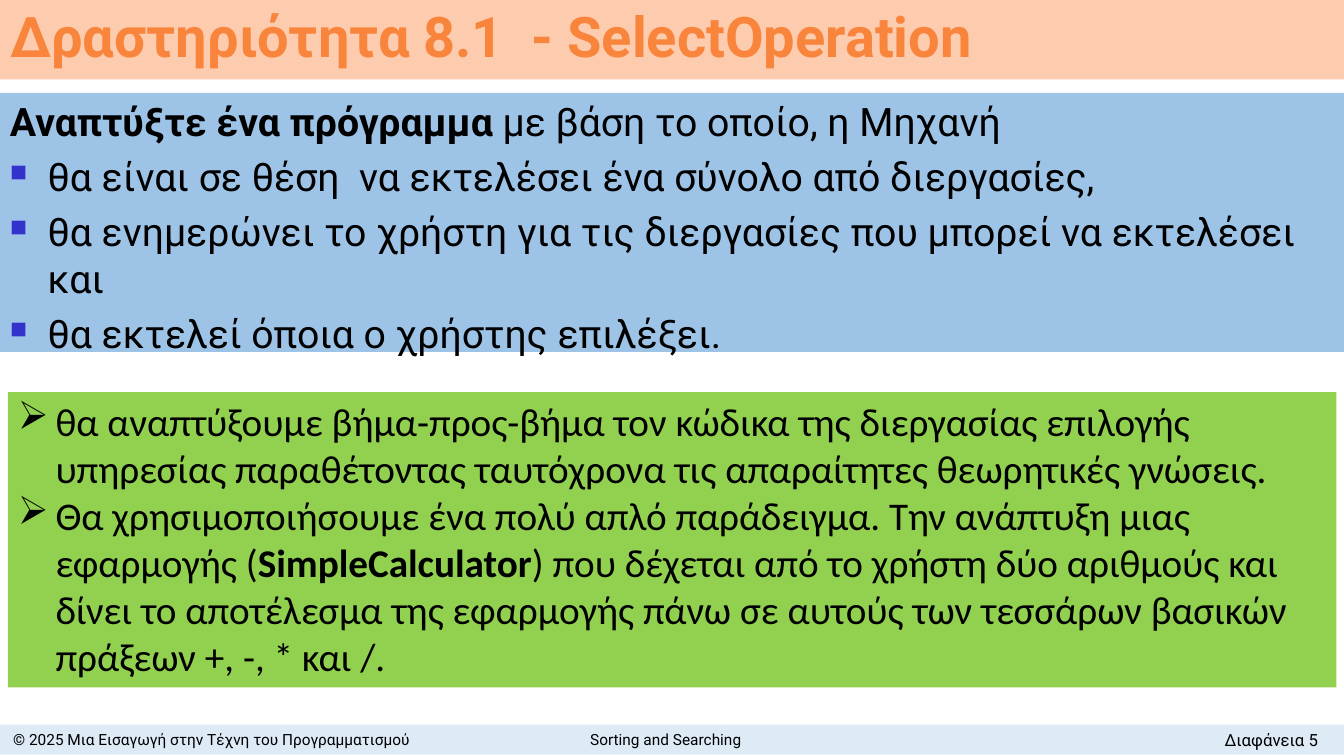
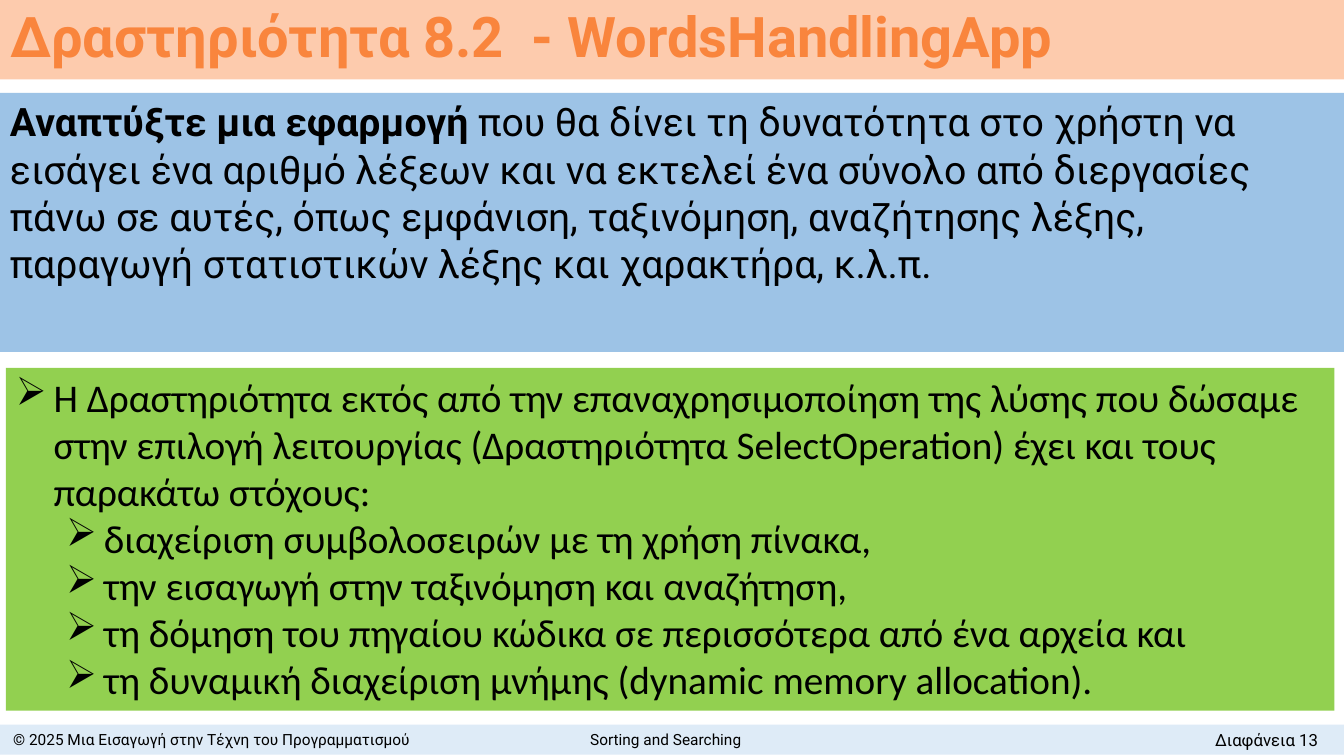
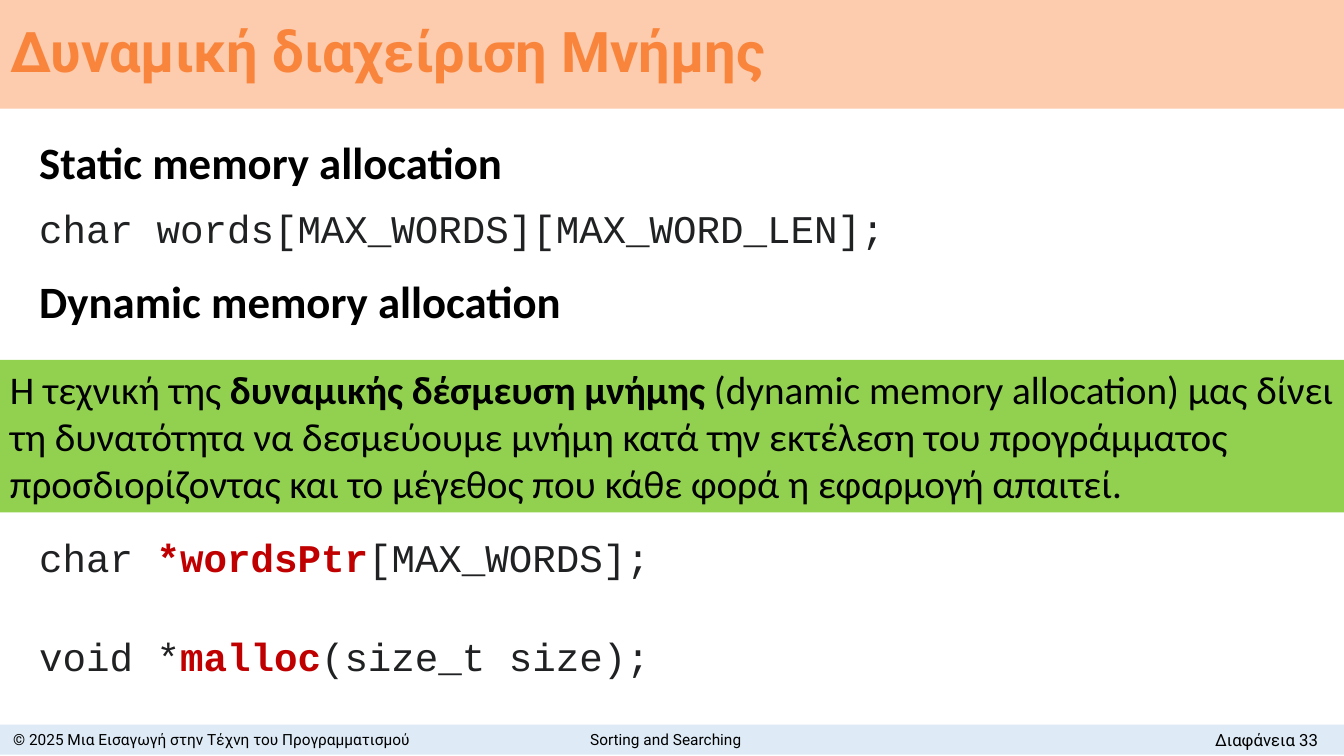
from lxml.etree import SubElement
from pptx import Presentation
from pptx.dml.color import RGBColor
from pptx.enum.shapes import MSO_SHAPE
from pptx.enum.text import MSO_ANCHOR, MSO_AUTO_SIZE, PP_ALIGN
from pptx.oxml.ns import qn
from pptx.util import Cm, Pt

BLACK = RGBColor(0x00, 0x00, 0x00)
CODE_GREY = RGBColor(0x20, 0x21, 0x22)
CODE_RED = RGBColor(0xC0, 0x00, 0x00)
ORANGE = RGBColor(0xF9, 0x85, 0x3D)
PEACH = RGBColor(0xFD, 0xCB, 0xAD)
BLUE = RGBColor(0x9D, 0xC3, 0xE6)
GREEN = RGBColor(0x92, 0xD0, 0x50)
PALE_BLUE = RGBColor(0xDE, 0xEB, 0xF7)
BULLET_BLUE = "3333CC"

WIDTH, HEIGHT = 33.87, 19.05
HANGING = 0.95
SUBLEVEL = 1.27
MARGIN = 0.74


def strong(text):
    """Mark a piece of text as emphasised."""
    return text, True


class Deck:
    """Holds the lecture style and the slide being filled."""

    def __init__(self):
        """Start an empty widescreen presentation."""
        self.presentation = Presentation()
        self.presentation.slide_width = Cm(WIDTH)
        self.presentation.slide_height = Cm(HEIGHT)
        self.slide = None

    def start(self, title, number, title_height=2):
        """Add a slide with its title band and footer."""
        self.slide = self.presentation.slides.add_slide(self.presentation.slide_layouts[5])
        heading = self.slide.shapes.title
        heading.left = heading.top = Cm(0)
        heading.width, heading.height = Cm(WIDTH), Cm(title_height)
        heading.fill.solid()
        heading.fill.fore_color.rgb = PEACH
        self.frame(heading, MSO_ANCHOR.MIDDLE)
        paragraph = heading.text_frame.paragraphs[0]
        paragraph.line_spacing = 0.9
        self.fill_paragraph(paragraph, [title], 40, "Roboto", ORANGE, bold=True)
        self.footer(number)

    def footer(self, number):
        """Draw the footer band with its three labels."""
        top, height = 18.26, 0.76
        self.band(0, top, WIDTH, height, PALE_BLUE)
        labels = [
            (0, 10.67, "© 2025 Μια Εισαγωγή στην Τέχνη του Προγραμματισμού", 11, PP_ALIGN.CENTER),
            (10.34, 12.88, "Sorting and Searching", 11, PP_ALIGN.CENTER),
            (28.24, 5.23, f"Διαφάνεια {number}", 12, PP_ALIGN.RIGHT),
        ]
        for left, width, label, size, align in labels:
            self.text(left, top, width, height, [label], size, "Roboto",
                      align=align, anchor=MSO_ANCHOR.MIDDLE)

    def frame(self, shape, anchor=MSO_ANCHOR.TOP):
        """Make the text of a shape wrap without resizing."""
        shape.text_frame.word_wrap = True
        shape.text_frame.auto_size = MSO_AUTO_SIZE.NONE
        shape.text_frame.vertical_anchor = anchor

    def band(self, left, top, width, height, color):
        """Draw a plain filled rectangle."""
        band = self.slide.shapes.add_shape(
            MSO_SHAPE.RECTANGLE, Cm(left), Cm(top), Cm(width), Cm(height))
        band.shadow.inherit = False
        band.fill.solid()
        band.fill.fore_color.rgb = color
        band.line.fill.background()
        self.frame(band)
        return band

    def bullet(self, paragraph, mark, level=0, color=None, percent=None):
        """Give a paragraph a hanging bullet."""
        properties = paragraph._p.get_or_add_pPr()
        properties.set("marL", str(Cm(HANGING + level * SUBLEVEL)))
        properties.set("indent", str(-Cm(HANGING)))
        if color:
            SubElement(SubElement(properties, qn("a:buClr")), qn("a:srgbClr")).set("val", color)
        if percent:
            SubElement(properties, qn("a:buSzPct")).set("val", str(percent * 1000))
        SubElement(properties, qn("a:buChar")).set("char", mark)
        paragraph.level = level

    def fill_paragraph(self, paragraph, pieces, size, font, color=BLACK, bold=False,
                       strong_color=None, align=PP_ALIGN.LEFT):
        """Put plain and emphasised pieces into a paragraph."""
        paragraph.alignment = align
        paragraph.font.size = Pt(size)
        paragraph.font.name = font
        paragraph.font.color.rgb = color
        paragraph.font.bold = bold
        for piece in pieces:
            run = paragraph.add_run()
            if isinstance(piece, str):
                run.text = piece
                continue
            run.text, run.font.bold = piece
            if strong_color:
                run.font.color.rgb = strong_color

    def text(self, left, top, width, height, pieces, size, font,
             anchor=MSO_ANCHOR.TOP, **style):
        """Add a text box with one paragraph."""
        box = self.slide.shapes.add_textbox(Cm(left), Cm(top), Cm(width), Cm(height))
        self.frame(box, anchor)
        self.fill_paragraph(box.text_frame.paragraphs[0], pieces, size, font, **style)

    def heading(self, top, text):
        """Add a bold section heading."""
        self.text(MARGIN, top, 15, 1.63, [text], 32, "Calibri", bold=True)

    def code(self, top, *pieces):
        """Add a line of code with red emphasis."""
        self.text(MARGIN, top, 26.5, 1.45, pieces, 28, "Courier New",
                  color=CODE_GREY, strong_color=CODE_RED)

    def task(self, opening, goals=()):
        """Add the blue task statement and its bulleted goals."""
        frame = self.band(0, 2.34, WIDTH, 6.53, BLUE).text_frame
        self.fill_paragraph(frame.paragraphs[0], opening, 28, "Roboto")
        for goal in goals:
            paragraph = frame.add_paragraph()
            paragraph.space_before = Pt(5.6)
            self.bullet(paragraph, "■", color=BULLET_BLUE, percent=60)
            self.fill_paragraph(paragraph, [goal], 28, "Roboto")

    def remarks(self, left, top, width, height, remarks):
        """Add a green panel; a remark is its level (None for no bullet) and its pieces."""
        frame = self.band(left, top, width, height, GREEN).text_frame
        for index, (level, *pieces) in enumerate(remarks):
            paragraph = frame.add_paragraph() if index else frame.paragraphs[0]
            if level is not None:
                self.bullet(paragraph, "➢", level)
            self.fill_paragraph(paragraph, pieces, 28, "Calibri")


def main():
    """Build the three slides."""
    deck = Deck()

    deck.start("Δραστηριότητα 8.1  - SelectOperation", 5)
    deck.task(
        [strong("Αναπτύξτε ένα πρόγραμμα "), "με βάση το οποίο, η Μηχανή"],
        ["θα είναι σε θέση  να εκτελέσει ένα σύνολο από διεργασίες,",
         "θα ενημερώνει το χρήστη για τις διεργασίες που μπορεί να εκτελέσει και",
         "θα εκτελεί όποια ο χρήστης επιλέξει."])
    deck.remarks(0.2, 9.88, 33.48, 7.44, [
        (0, "θα αναπτύξουμε βήμα-προς-βήμα τον κώδικα της διεργασίας επιλογής υπηρεσίας "
            "παραθέτοντας ταυτόχρονα τις απαραίτητες θεωρητικές γνώσεις."),
        (0, "Θα χρησιμοποιήσουμε ένα πολύ απλό παράδειγμα. Την ανάπτυξη μιας εφαρμογής (",
         strong("SimpleCalculator"),
         ") που δέχεται από το χρήστη δύο αριθμούς και δίνει το αποτέλεσμα της εφαρμογής "
         "πάνω σε αυτούς των τεσσάρων βασικών πράξεων +, -, * και /."),
    ])

    deck.start("Δραστηριότητα 8.2  - WordsHandlingApp", 13)
    deck.task([
        strong("Αναπτύξτε μια εφαρμογή "),
        "που θα δίνει τη δυνατότητα στο χρήστη να εισάγει ένα αριθμό λέξεων και να εκτελεί "
        "ένα σύνολο από διεργασίες πάνω σε αυτές, όπως εμφάνιση, ταξινόμηση, αναζήτησης "
        "λέξης, παραγωγή στατιστικών λέξης και χαρακτήρα, κ.λ.π."])
    deck.remarks(0.15, 9.27, 33.48, 8.64, [
        (0, "Η Δραστηριότητα εκτός από την επαναχρησιμοποίηση της λύσης που δώσαμε στην "
            "επιλογή λειτουργίας (Δραστηριότητα SelectOperation) έχει και τους παρακάτω "
            "στόχους:"),
        (1, "διαχείριση συμβολοσειρών με τη χρήση πίνακα,"),
        (1, "την εισαγωγή στην ταξινόμηση και αναζήτηση,"),
        (1, "τη δόμηση του πηγαίου κώδικα σε περισσότερα από ένα αρχεία και"),
        (1, "τη δυναμική διαχείριση μνήμης (dynamic memory allocation)."),
    ])

    deck.start("Δυναμική διαχείριση Μνήμης", 33, title_height=2.74)
    deck.heading(3.28, "Static memory allocation")
    deck.code(5.03, "char words[MAX_WORDS][MAX_WORD_LEN];")
    deck.heading(6.78, "Dynamic memory allocation")
    deck.remarks(0, 9.07, WIDTH, 3.84, [
        (None, "Η τεχνική της ", strong("δυναμικής δέσμευση μνήμης"),
         " (dynamic memory allocation) μας δίνει τη δυνατότητα να δεσμεύουμε μνήμη κατά "
         "την εκτέλεση του προγράμματος προσδιορίζοντας και το μέγεθος που κάθε φορά η "
         "εφαρμογή απαιτεί."),
    ])
    deck.code(13.31, "char ", strong("*wordsPtr"), "[MAX_WORDS];")
    deck.code(15.8, "void *", strong("malloc"), "(size_t size);")

    deck.presentation.save("out.pptx")


if __name__ == "__main__":
    main()
